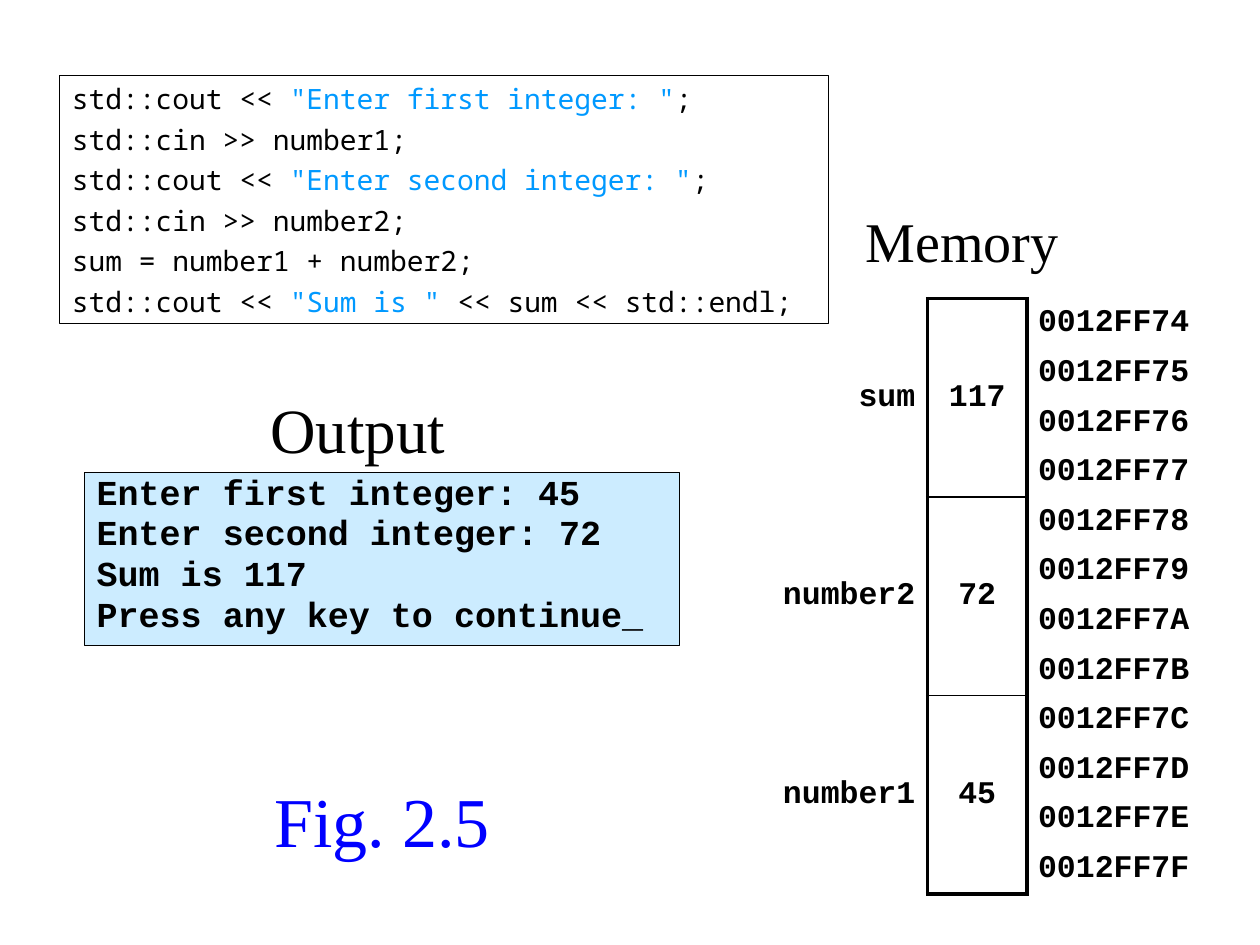
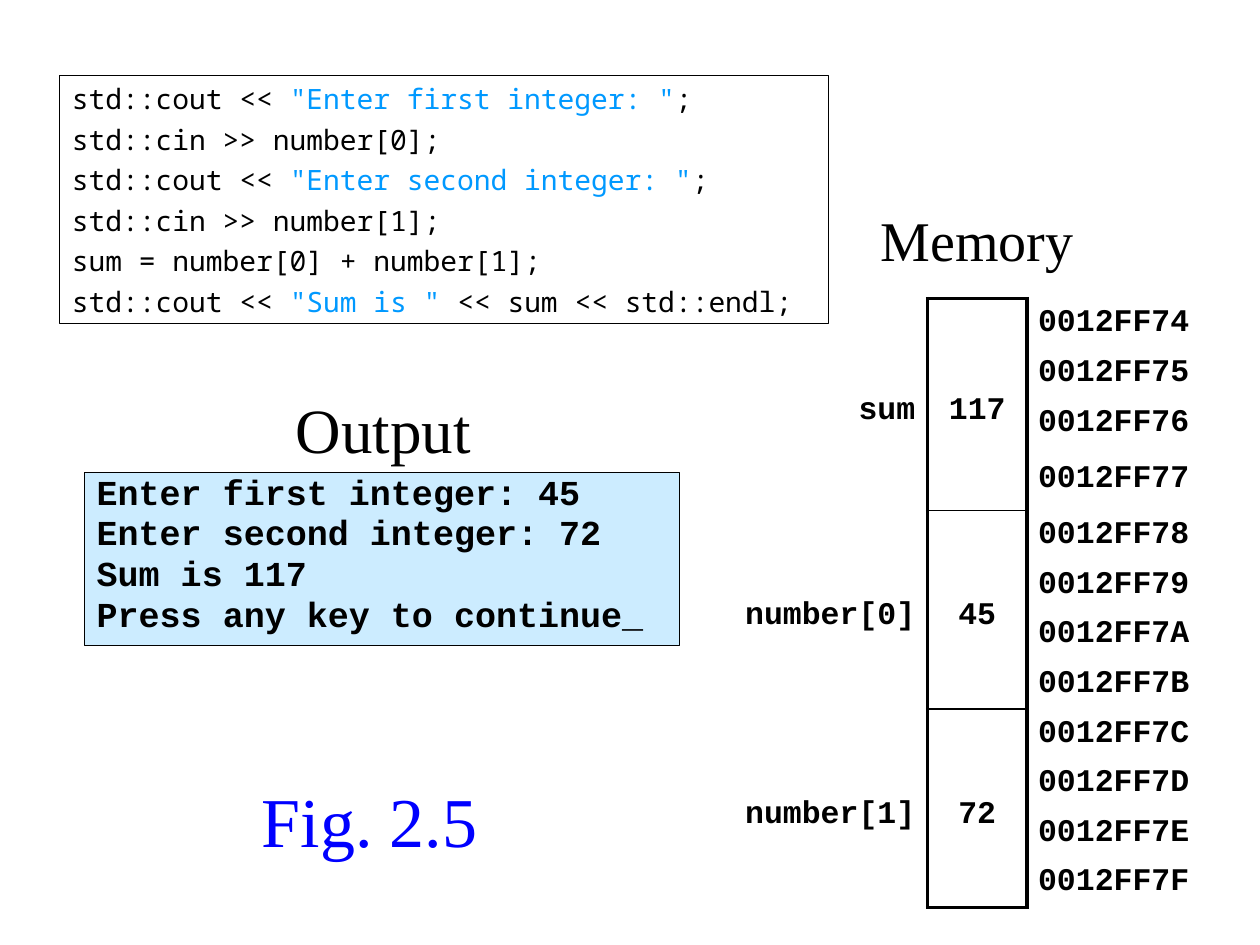
import pptx
import pptx.util
import pptx.dml.color
import pptx.enum.shapes
import pptx.enum.text
import pptx.oxml
import pptx.oxml.ns

Cm = pptx.util.Cm
Pt = pptx.util.Pt
RGB = pptx.dml.color.RGBColor
ALIGN = pptx.enum.text.PP_ALIGN
ANCHOR = pptx.enum.text.MSO_ANCHOR
BLACK = RGB(0x00, 0x00, 0x00)
BLUE = RGB(0x00, 0x00, 0xFF)
SKY = RGB(0x00, 0x99, 0xFF)
PALE = RGB(0xCC, 0xEC, 0xFF)
PLAIN = "{2D5ABB26-0587-4C30-8999-92F81FD0307C}"
FIRST = 0x0012FF74
SPAN = 4

HEAD = {"name": "Times New Roman", "size": Pt(36)}
SMALL = {"name": "Times New Roman", "size": Pt(32)}
TITLE = {"name": "Times New Roman", "size": Pt(40)}
CODE = {"name": "Noto Sans Mono", "size": Pt(16)}
SCREEN = {"name": "Courier New", "size": Pt(20), "bold": True}
CELL = {"name": "Courier New", "size": Pt(18), "bold": True}
TIGHT = {"word_wrap": False, "margin_left": 0, "margin_right": 0}

OUT = [
    "Enter first integer: 45",
    "Enter second integer: 72",
    "Sum is 117",
    "Press any key to continue_",
]

PAGES = [
    {
        "names": ["number1", "number2"],
        "vars": [("sum", "117"), ("number2", "72"), ("number1", "45")],
        "out": (5.2, 5, ALIGN.LEFT, {"vertical_anchor": ANCHOR.BOTTOM}),
        "mem": (17.2, 5, ALIGN.LEFT, {"vertical_anchor": ANCHOR.BOTTOM, "margin_bottom": 0}),
        "fig": 6,
        "label": 3.5,
        "extra": 0,
        "pad": {"margin_top": Cm(0.1), "margin_bottom": Cm(0.1)},
    },
    {
        "names": ["number[0]", "number[1]"],
        "vars": [("sum", "117"), ("number[0]", "45"), ("number[1]", "72")],
        "out": (5.73, 4, ALIGN.CENTER, {"vertical_anchor": ANCHOR.BOTTOM, **TIGHT}),
        "mem": (17.7, 4, ALIGN.CENTER, TIGHT),
        "fig": 5.5,
        "label": 4,
        "extra": 0.27,
        "pad": {"margin_top": Cm(0.27), "margin_bottom": 0},
    },
]


def write(para, text, font, color=BLACK, align=ALIGN.LEFT):
    para.alignment = align
    for i, part in enumerate(text.split('"')):
        run = para.add_run()
        run.text = f'"{part}"' if i % 2 else part
        for key, val in font.items():
            setattr(run.font, key, val)
        run.font.color.rgb = SKY if i % 2 else color


def box(slide, area, lines, font, color=BLACK, align=ALIGN.LEFT, frame=None, framed=False, fill=None, pitch=None):
    area = [Cm(n) for n in area]
    if framed:
        shape = slide.shapes.add_shape(pptx.enum.shapes.MSO_SHAPE.RECTANGLE, *area)
        shape.shadow.inherit = False
        shape.line.color.rgb = BLACK
        shape.line.width = Pt(0.75)
        if fill:
            shape.fill.solid()
            shape.fill.fore_color.rgb = fill
        else:
            shape.fill.background()
    else:
        shape = slide.shapes.add_textbox(*area)
    body = shape.text_frame
    look = {"word_wrap": True, "vertical_anchor": ANCHOR.TOP, **(frame or {})}
    for key, val in look.items():
        setattr(body, key, val)
    for i, line in enumerate(lines):
        para = body.add_paragraph() if i else body.paragraphs[0]
        write(para, line, font, color, align)
        para.line_spacing = pitch
        if i:
            para.space_before = Pt(4)


deck = pptx.Presentation()
deck.slide_width, deck.slide_height = Cm(25.4), Cm(19.05)

for page in PAGES:
    slide = deck.slides.add_slide(deck.slide_layouts[6])
    one, two = page["names"]
    code = [
        'std::cout << "Enter first integer: ";',
        f"std::cin >> {one};",
        'std::cout << "Enter second integer: ";',
        f"std::cin >> {two};",
        f"sum = {one} + {two};",
        'std::cout << "Sum is " << sum << std::endl;',
    ]
    box(slide, (1.2, 1.52, 15.5, 5), code, CODE, framed=True)
    box(slide, (1.7, 9.52, 12, 3.5), OUT, SCREEN, framed=True, fill=PALE, pitch=0.8)
    left, width, align, frame = page["out"]
    box(slide, (left, 7.52, width, 2), ["Output"], HEAD, align=align, frame=frame)
    left, width, align, frame = page["mem"]
    box(slide, (left, 4.02, width, 1.5), ["Memory"], SMALL, align=align, frame=frame)
    box(slide, (4.7, 15.52, page["fig"], 2), ["Fig. 2.5"], TITLE, BLUE, ALIGN.CENTER,
        {"vertical_anchor": ANCHOR.MIDDLE})

    rows = SPAN * len(page["vars"])
    cols = [page["label"], 2, 3.5]
    wide = sum(cols)
    grid = slide.shapes.add_table(rows, 3, Cm(24.2 - wide), Cm(6.02), Cm(wide), Cm(rows)).table
    grid.first_row = grid.horz_banding = False
    grid._tbl.tblPr.find(pptx.oxml.ns.qn("a:tableStyleId")).text = PLAIN
    for col, width in zip(grid.columns, cols):
        col.width = Cm(width)
    for row in grid.rows:
        row.height = Cm(1)
    grid.rows[SPAN - 1].height = Cm(1 + page["extra"])

    for r in range(rows):
        for c in range(3):
            cell = grid.cell(r, c)
            cell.fill.background()
            look = {"vertical_anchor": ANCHOR.MIDDLE, "margin_left": Cm(0.2), "margin_right": Cm(0.2),
                    "margin_top": Cm(0.1), "margin_bottom": Cm(0.1)}
            for key, val in look.items():
                setattr(cell, key, val)
        write(grid.cell(r, 2).text_frame.paragraphs[0], f"{FIRST + r:08X}", CELL, align=ALIGN.CENTER)

    for g, pair in enumerate(page["vars"]):
        top = g * SPAN
        end = top + SPAN - 1
        for c, (text, align) in enumerate(zip(pair, (ALIGN.RIGHT, ALIGN.CENTER))):
            cell = grid.cell(top, c)
            cell.merge(grid.cell(end, c))
            look = {"margin_left": Cm(0.25), "margin_right": Cm(0.25), **page["pad"]}
            for key, val in look.items():
                setattr(cell, key, val)
            write(cell.text_frame.paragraphs[0], text, CELL, align=align)
        for r in range(top, end + 1):
            edges = {"L": 2.25, "R": 2.25}
            if r == top:
                edges["T"] = 1 if g else 2.25
            if r in (top, end):
                edges["B"] = 2.25 if end == rows - 1 else 1
            props = grid.cell(r, 1)._tc.get_or_add_tcPr()
            for i, (side, size) in enumerate(edges.items()):
                props.insert(i, pptx.oxml.parse_xml(
                    f'<a:ln{side} {pptx.oxml.ns.nsdecls("a")} w="{int(Pt(size))}">'
                    f'<a:solidFill><a:srgbClr val="{BLACK}"/></a:solidFill></a:ln{side}>'))

deck.save("out.pptx")
